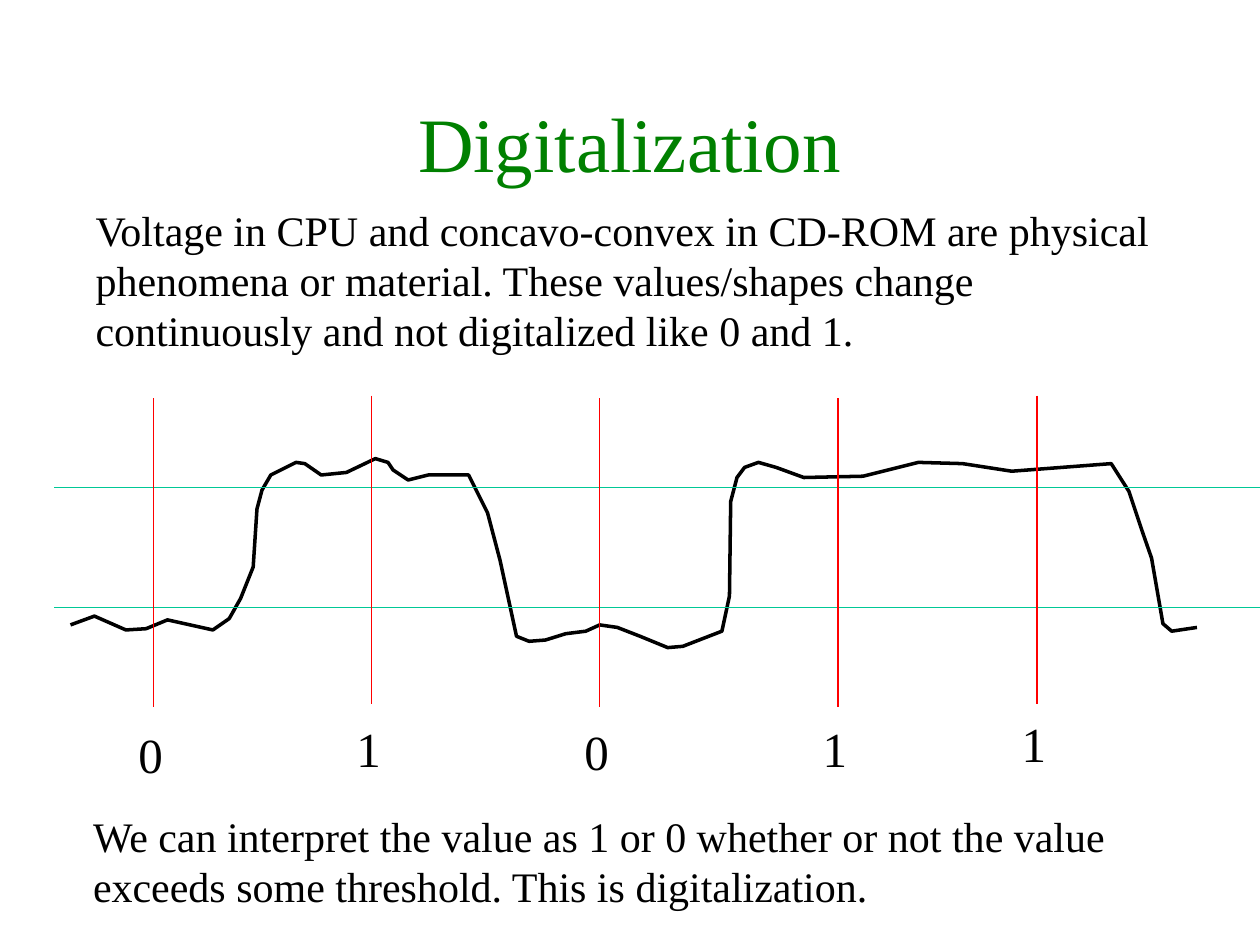
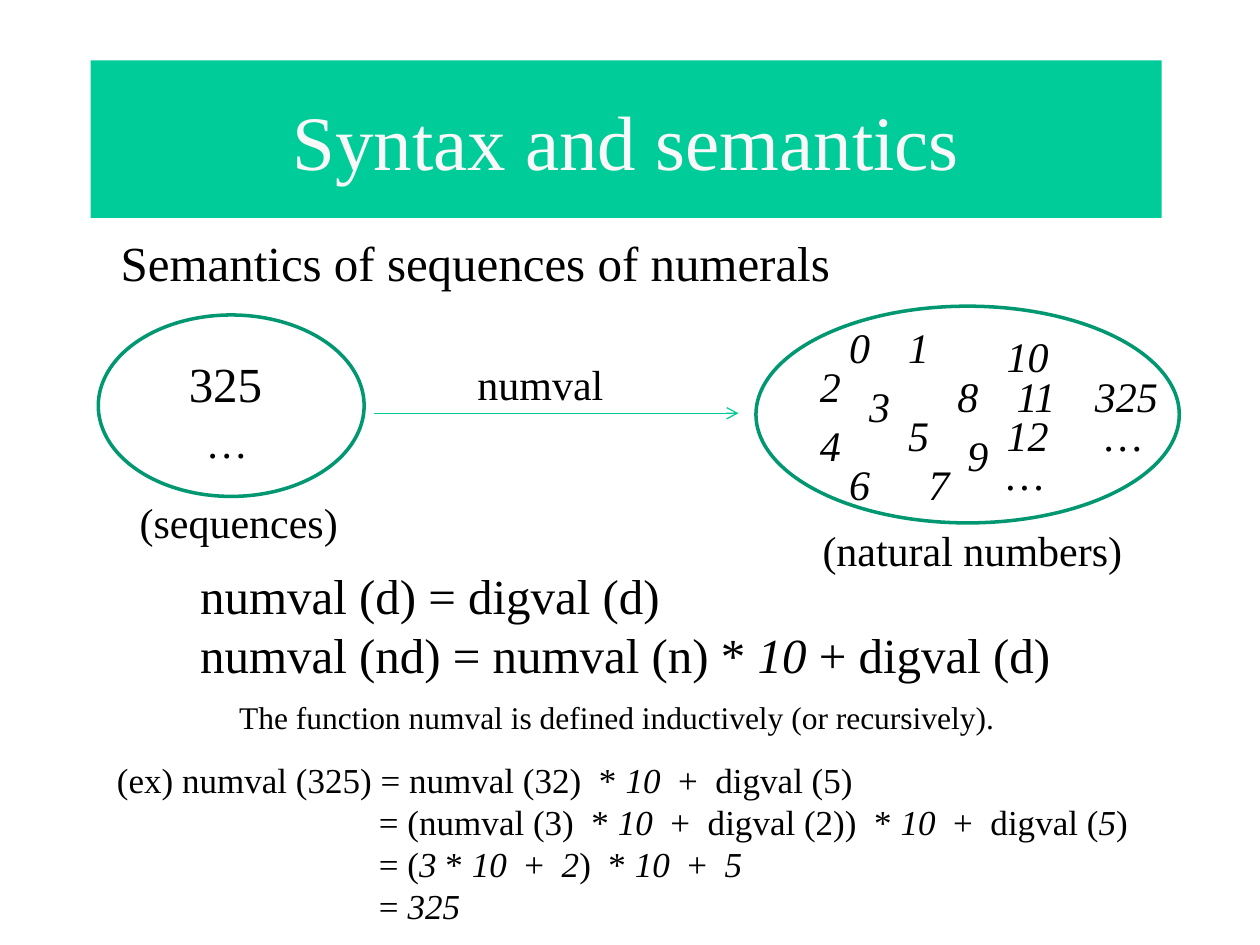
from pptx import Presentation
from pptx.dml.color import RGBColor
from pptx.enum.shapes import MSO_CONNECTOR, MSO_SHAPE
from pptx.enum.text import MSO_ANCHOR, MSO_AUTO_SIZE, PP_ALIGN
from pptx.oxml.ns import qn
from pptx.oxml.xmlchemy import OxmlElement
from pptx.util import Inches, Pt

FONT = "Times New Roman"
BLACK, WHITE, RED = "000000", "F8F8F8", "FF0000"
TITLE_GREEN, BAND_GREEN = "008000", "00CC99"
LINE_GREEN, OVAL_GREEN = "00C896", "009771"

VOLTAGE = ("Voltage in CPU and concavo-convex in CD-ROM are physical phenomena or material. "
           "These values/shapes change continuously and not digitalized like 0 and 1.")
THRESHOLD = ("We can interpret the value as 1 or 0 whether or not the value exceeds some "
             "threshold. This is digitalization.")
THRESHOLD_LEVELS = [3.87, 4.82]
SAMPLES = [
    ("0", 1.22, 3.16, 5.70),
    ("1", 2.95, 3.14, 5.65),
    ("0", 4.76, 3.16, 5.68),
    ("1", 6.65, 3.16, 5.65),
    ("1", 8.23, 3.14, 5.61),
]
SAMPLE_HEIGHT = 2.45
SIGNAL = [
    (0.56, 4.96), (0.75, 4.89), (1, 5), (1.16, 4.99), (1.33, 4.92), (1.69, 5),
    (1.82, 4.91), (1.91, 4.75), (2.01, 4.5), (2.04, 4.04), (2.08, 3.89), (2.15, 3.77),
    (2.35, 3.67), (2.42, 3.68), (2.55, 3.77), (2.75, 3.75), (2.98, 3.64), (3.08, 3.67),
    (3.12, 3.73), (3.24, 3.81), (3.4, 3.77), (3.72, 3.77), (3.87, 4.07), (3.97, 4.45),
    (4.1, 5.05), (4.2, 5.09), (4.33, 5.08), (4.49, 5.03), (4.65, 5.01), (4.76, 4.96),
    (4.9, 4.98), (5.08, 5.05), (5.3, 5.14), (5.42, 5.13), (5.73, 5.01), (5.79, 4.73),
    (5.8, 3.98), (5.85, 3.79), (5.91, 3.71), (6.02, 3.67), (6.16, 3.71), (6.38, 3.79),
    (6.85, 3.78), (7.29, 3.67), (7.64, 3.68), (8.03, 3.74), (8.82, 3.68), (8.96, 3.9),
    (9.06, 4.2), (9.14, 4.43), (9.23, 4.95), (9.3, 5.01), (9.5, 4.98),
]

OVALS = [(0.78, 2.5, 2.11, 1.44), (6, 2.43, 3.36, 1.72)]
NATURAL_NUMBERS = [
    ("0", 6.64, 2.50), ("1", 7.11, 2.50), ("2", 6.41, 2.81), ("3", 6.80, 2.97),
    ("4", 6.41, 3.28), ("5", 7.11, 3.20), ("6", 6.64, 3.59), ("7", 7.27, 3.59),
    ("8", 7.50, 2.89), ("9", 7.58, 3.36), ("10", 7.89, 2.57), ("11", 7.97, 2.89),
    ("12", 7.89, 3.20), ("…", 7.89, 3.51), ("325", 8.59, 2.89), ("…", 8.67, 3.20),
]
SEQUENCE_DOTS = ("…", 1.56, 3.26)
CAPTIONS = [
    ("(sequences)", (1.01, 3.89, 1.79, 0.5)),
    ("numval", (3.69, 2.8, 1.21, 0.5)),
    ("(natural numbers)", (6.43, 4.11, 2.6, 0.5)),
]
DEFINITION = ["numval (d) = digval (d)", "numval (nd) = numval (n) * _10_ + digval (d)"]
INDUCTION = "The function numval is defined inductively (or recursively)."
EXAMPLE = [
    "(ex) numval (325) = numval (32)  * _10_  +  digval (5)",
    "= (numval (3)  * _10_  +  digval (2))  * _10_  +  digval (_5_)",
    "= (_3_ * _10_  +  _2_)  * _10_  +  _5_",
    "= _325_",
]
EXAMPLE_INDENT = 2.08


def rgb(color):
    return RGBColor.from_string(color)


def place(box):
    return [Inches(length) for length in box]


def write(frame, lines, size, color=BLACK, italic=False):
    for number, line in enumerate(lines):
        paragraph = frame.paragraphs[0] if number == 0 else frame.add_paragraph()
        paragraph.font.name = FONT
        paragraph.font.size = Pt(size)
        paragraph.font.color.rgb = rgb(color)
        paragraph.font.italic = italic
        for part, words in enumerate(line.split("_")):
            if words:
                run = paragraph.add_run()
                run.text = words
                if part % 2:
                    run.font.italic = True


def add_text(slide, box, lines, size, wrap=False, italic=False):
    frame = slide.shapes.add_textbox(*place(box)).text_frame
    frame.word_wrap = wrap
    frame.auto_size = MSO_AUTO_SIZE.SHAPE_TO_FIT_TEXT
    write(frame, lines, size, italic=italic)
    return frame


def add_title(slide, box, title, color, band=None):
    if band:
        holder = slide.shapes.add_shape(MSO_SHAPE.RECTANGLE, *place(box))
        holder.shadow.inherit = False
        holder.fill.solid()
        holder.fill.fore_color.rgb = rgb(band)
        holder.line.fill.background()
    else:
        holder = slide.shapes.add_textbox(*place(box))
    frame = holder.text_frame
    frame.word_wrap = True
    frame.vertical_anchor = MSO_ANCHOR.MIDDLE
    write(frame, [title], 44, color)
    frame.paragraphs[0].alignment = PP_ALIGN.CENTER


def add_line(slide, ends, color, kind=MSO_CONNECTOR.STRAIGHT, arrow=False):
    connector = slide.shapes.add_connector(kind, *place(ends))
    connector.line.color.rgb = rgb(color)
    connector.line.width = Pt(0.75)
    properties = connector.element.spPr
    if arrow:
        tail = OxmlElement("a:tailEnd")
        tail.set("type", "arrow")
        properties.find(qn("a:ln")).append(tail)
    properties.append(OxmlElement("a:effectLst"))


def outline(shape, color):
    shape.shadow.inherit = False
    shape.fill.background()
    shape.line.color.rgb = rgb(color)
    shape.line.width = Pt(2)


def add_signal(slide):
    points = [(round(x * 100), round(y * 100)) for x, y in SIGNAL]
    builder = slide.shapes.build_freeform(*points[0], scale=Inches(0.01))
    builder.add_line_segments(points[1:], close=False)
    outline(builder.convert_to_shape(), BLACK)


def add_number(slide, number, left, top):
    width = 0.5 if number == "…" else 0.2 + 0.17 * len(number)
    add_text(slide, (left, top, width, 0.51), [number], 24, italic=True)


def build_digitalization(slide):
    add_title(slide, (0.75, 0.5, 8.5, 1.25), "Digitalization", TITLE_GREEN)
    add_signal(slide)
    for level in THRESHOLD_LEVELS:
        add_line(slide, (0.43, level, 10, level), LINE_GREEN)
    for bit, x, top, label_top in SAMPLES:
        add_line(slide, (x, top, x, top + SAMPLE_HEIGHT), RED)
        add_text(slide, (x - 0.22, label_top, 0.45, 0.57), [bit], 28)
    add_text(slide, (0.66, 1.57, 8.71, 1.31), [VOLTAGE], 24, wrap=True)
    add_text(slide, (0.64, 6.38, 8.73, 0.91), [THRESHOLD], 24, wrap=True)


def build_semantics(slide):
    add_title(slide, (0.72, 0.48, 8.5, 1.25), "Syntax and semantics", WHITE, BAND_GREEN)
    add_text(slide, (0.86, 1.8, 8.05, 0.57), ["Semantics of sequences of numerals"], 28, wrap=True)
    add_line(slide, (2.97, 3.28, 5.86, 3.28), LINE_GREEN, MSO_CONNECTOR.CURVE, arrow=True)
    for box in OVALS:
        outline(slide.shapes.add_shape(MSO_SHAPE.OVAL, *place(box)), OVAL_GREEN)
    add_text(slide, (1.4, 2.76, 0.8, 0.57), ["325"], 28, wrap=True)
    for caption, box in CAPTIONS:
        add_text(slide, box, [caption], 24)
    for number, left, top in NATURAL_NUMBERS + [SEQUENCE_DOTS]:
        add_number(slide, number, left, top)
    add_text(slide, (1.49, 4.44, 7.12, 1.04), DEFINITION, 28, wrap=True)
    add_text(slide, (1.8, 5.49, 6.26, 0.4), [INDUCTION], 18)
    example = add_text(slide, (0.83, 5.97, 8.4, 1.45), EXAMPLE, 20, wrap=True)
    for paragraph in example.paragraphs[1:]:
        properties = paragraph._p.get_or_add_pPr()
        properties.set("marL", str(Inches(EXAMPLE_INDENT)))
        properties.set("indent", "0")


def main():
    deck = Presentation()
    deck.slide_width, deck.slide_height = Inches(10), Inches(7.5)
    for build in (build_digitalization, build_semantics):
        build(deck.slides.add_slide(deck.slide_layouts[6]))
    deck.save("out.pptx")


if __name__ == "__main__":
    main()
